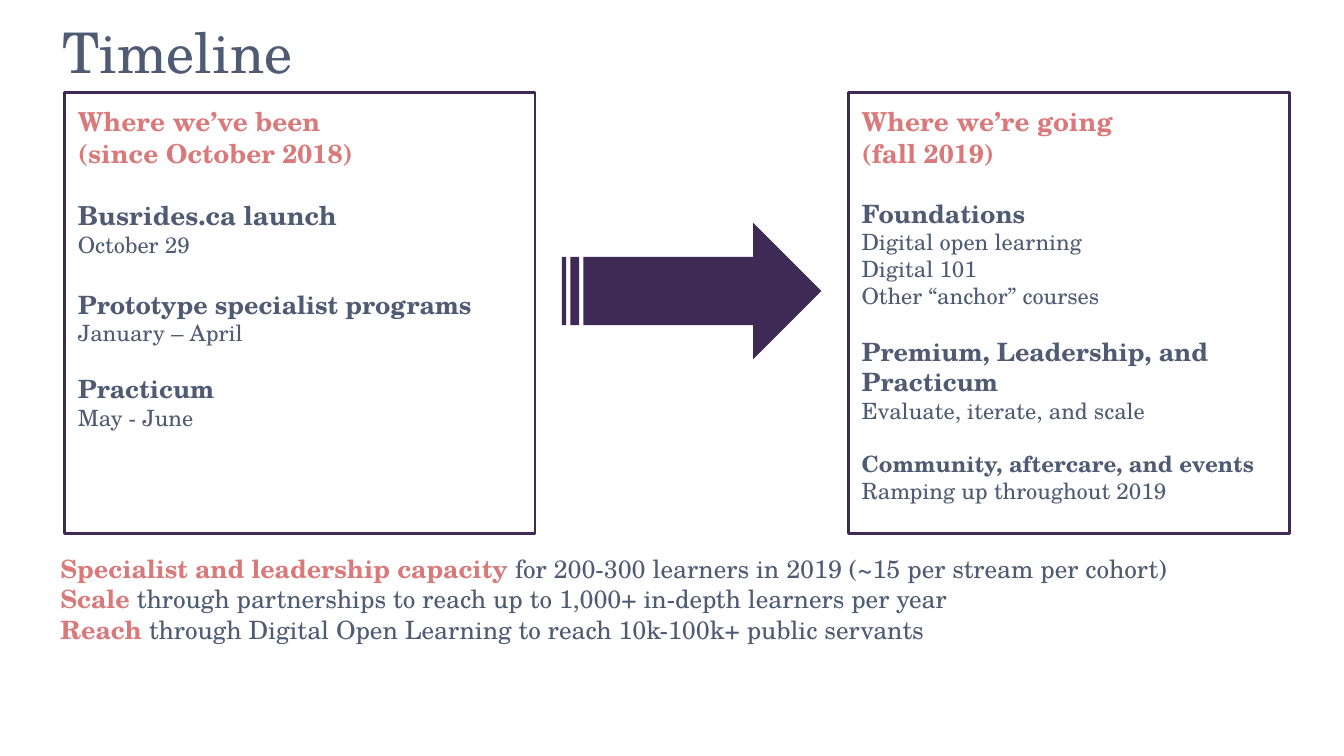
from dataclasses import dataclass

from lxml import etree
from pptx import Presentation
from pptx.dml.color import RGBColor
from pptx.enum.shapes import MSO_SHAPE
from pptx.enum.text import MSO_ANCHOR, MSO_AUTO_SIZE, PP_ALIGN
from pptx.oxml.ns import qn
from pptx.util import Pt

PX = 5715  # EMU per px, 160 px to the inch
RECT, ARROW = MSO_SHAPE.RECTANGLE, MSO_SHAPE.STRIPED_RIGHT_ARROW
TOP, LEFT, NO_FIT = MSO_ANCHOR.TOP, PP_ALIGN.LEFT, MSO_AUTO_SIZE.NONE


@dataclass
class Theme:
    font: str = "TeX Gyre Schola"
    slate: RGBColor = RGBColor(0x4E, 0x5B, 0x73)
    coral: RGBColor = RGBColor(0xDA, 0x79, 0x7A)
    plum: RGBColor = RGBColor(0x3F, 0x2A, 0x56)
    title: float = 30
    heading: float = 14
    topic: float = 13.5
    detail: float = 12
    outline: float = 1.5


theme = Theme()


def setup_frame(s, inset_y):
    tf = s.text_frame
    tf.word_wrap = True
    tf.auto_size = NO_FIT
    tf.vertical_anchor = TOP
    tf.margin_left = tf.margin_right = 16 * PX
    tf.margin_top = tf.margin_bottom = inset_y * PX
    return tf


def add_paragraph(tf, first, runs, size, gap=0):
    p = tf.paragraphs[0] if first else tf.add_paragraph()
    p.alignment = LEFT
    p.space_before = Pt(gap)
    for text, color, bold in runs:
        r = p.add_run()
        r.text = text
        r.font.name = theme.font
        r.font.size = Pt(size)
        r.font.bold = bold
        r.font.color.rgb = color
    return p


prs = Presentation()
prs.slide_width, prs.slide_height = 1600 * PX, 900 * PX
slide = prs.slides.add_slide(prs.slide_layouts[1])

# Title
s = slide.shapes.title
s.left, s.top, s.width, s.height = 58 * PX, 13 * PX, 1222 * PX, 98 * PX
add_paragraph(setup_frame(s, 8), True, [("Timeline", theme.slate, False)], theme.title)

# Capacity statements under the boxes
statements = [
    ("Specialist and leadership capacity ",
     "for 200-300 learners in 2019 (~15 per stream per cohort)"),
    ("Scale ", "through partnerships to reach up to 1,000+ in-depth learners per year"),
    ("Reach ", "through Digital Open Learning to reach 10k-100k+ public servants"),
]
s = slide.placeholders[1]
s.left, s.top, s.width, s.height = 56 * PX, 651 * PX, 1501 * PX, 130 * PX
tf = setup_frame(s, 8)
for i, (lead, rest) in enumerate(statements):
    p = add_paragraph(tf, i == 0, [(lead, theme.coral, True), (rest, theme.slate, False)],
                      theme.topic)
    pPr = p._p.get_or_add_pPr()
    pPr.set("marL", "0")
    pPr.set("indent", "0")
    etree.SubElement(pPr, qn("a:buNone"))

# Past and future boxes: left, width, heading lines, (gap, topic size, topic, details)
box_top, box_height = 110, 525
boxes = [
    (77, 560, ["Where we’ve been", "(since October 2018)"], [
        (16.5, theme.heading, "Busrides.ca launch", ["October 29"]),
        (17, theme.topic, "Prototype specialist programs", ["January – April"]),
        (14.5, theme.topic, "Practicum", ["May - June"]),
    ]),
    (1010, 525, ["Where we’re going", "(fall 2019)"], [
        (16, theme.topic, "Foundations",
         ["Digital open learning", "Digital 101", "Other “anchor” courses"]),
        (14.5, theme.topic, "Premium, Leadership, and Practicum",
         ["Evaluate, iterate, and scale"]),
        (14, theme.detail, "Community, aftercare, and events",
         ["Ramping up throughout 2019"]),
    ]),
]
for left, width, headings, topics in boxes:
    s = slide.shapes.add_shape(RECT, left * PX, box_top * PX, width * PX, box_height * PX)
    s.shadow.inherit = False
    s.fill.background()
    s.line.color.rgb = theme.plum
    s.line.width = Pt(theme.outline)
    tf = setup_frame(s, 16)
    for i, heading in enumerate(headings):
        add_paragraph(tf, i == 0, [(heading, theme.coral, True)], theme.heading)
    for gap, size, topic, details in topics:
        add_paragraph(tf, False, [(topic, theme.slate, True)], size, gap)
        for detail in details:
            add_paragraph(tf, False, [(detail, theme.slate, False)], theme.detail)

# Arrow between the boxes
s = slide.shapes.add_shape(ARROW, 669 * PX, 265 * PX, 309 * PX, 163 * PX)
s.shadow.inherit = False
s.fill.solid()
s.fill.fore_color.rgb = theme.plum
s.line.fill.background()

prs.save("out.pptx")
